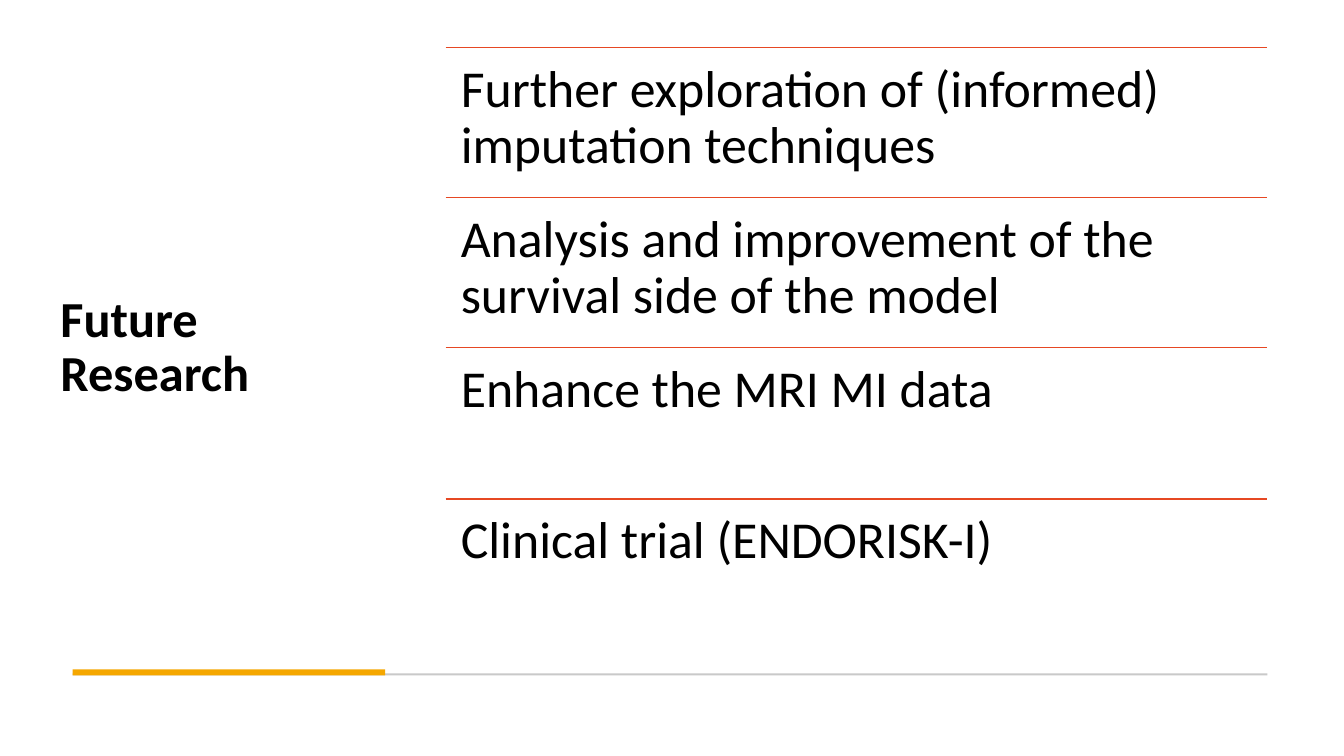
from dataclasses import dataclass

from pptx import Presentation
from pptx.dml.color import RGBColor
from pptx.enum.shapes import MSO_CONNECTOR, MSO_SHAPE
from pptx.enum.text import MSO_ANCHOR, MSO_AUTO_SIZE, PP_ALIGN
from pptx.oxml.ns import qn
from pptx.slide import Slide
from pptx.text.text import TextFrame
from pptx.util import Emu, Pt
from lxml.etree import SubElement

EMU_PER_PX = 9144
COLORS = {
    "background": "FFFFFF",
    "text": "000000",
    "divider": "E64823",
    "footer": "C9C9C9",
    "accent": "F5A700",
}


@dataclass(frozen=True)
class Box:
    left: int
    top: int
    width: int
    height: int

    def emu(self) -> tuple[Emu, Emu, Emu, Emu]:
        return px(self.left), px(self.top), px(self.width), px(self.height)


@dataclass(frozen=True)
class Bar:
    box: Box
    color: str


TITLE = Box(50, 47, 332, 597)
TOPICS = Box(442, 47, 815, 597)
FOOTER_BARS = [
    Bar(Box(72, 668, 1185, 2), "footer"),
    Bar(Box(72, 664, 310, 6), "accent"),
]
RESEARCH_TOPICS = [
    "Further exploration of (informed) imputation techniques",
    "Analysis and improvement of the survival side of the model",
    "Enhance the MRI MI data",
    "Clinical trial (ENDORISK-I)",
]


def px(length: int) -> Emu:
    return Emu(length * EMU_PER_PX)


def rgb(name: str) -> RGBColor:
    return RGBColor.from_string(COLORS[name])


def write_text(frame: TextFrame, text: str, *, size: int, bold: bool = False,
               anchor: MSO_ANCHOR = MSO_ANCHOR.TOP, inset: tuple[int, int] = (15, 15)) -> None:
    frame.word_wrap = True
    frame.auto_size = MSO_AUTO_SIZE.NONE
    frame.vertical_anchor = anchor
    frame.margin_left = frame.margin_right = px(inset[0])
    frame.margin_top = frame.margin_bottom = px(inset[1])
    frame.text = text
    paragraph = frame.paragraphs[0]
    paragraph.alignment = PP_ALIGN.LEFT
    paragraph.line_spacing = 0.9
    font = paragraph.runs[0].font
    font.name = "Calibri"
    font.size = Pt(size)
    font.bold = bold
    font.color.rgb = rgb("text")


def draw_bar(slide: Slide, bar: Bar) -> None:
    rectangle = slide.shapes.add_shape(MSO_SHAPE.RECTANGLE, *bar.box.emu())
    rectangle.shadow.inherit = False
    rectangle.fill.solid()
    rectangle.fill.fore_color.rgb = rgb(bar.color)
    rectangle.line.fill.background()


def draw_topic(slide: Slide, box: Box, text: str) -> None:
    left, top, width, height = box.emu()
    divider = slide.shapes.add_connector(MSO_CONNECTOR.STRAIGHT, left, top, left + width, top)
    divider.line.color.rgb = rgb("divider")
    divider.line.width = Pt(1)
    SubElement(divider._element.spPr, qn("a:effectLst"))
    topic = slide.shapes.add_textbox(left, top, width, height)
    write_text(topic.text_frame, text, size=37)


def main() -> None:
    presentation = Presentation()
    presentation.slide_width = px(1333)
    presentation.slide_height = px(750)
    slide = presentation.slides.add_slide(presentation.slide_layouts[5])
    slide.background.fill.solid()
    slide.background.fill.fore_color.rgb = rgb("background")

    title = slide.shapes.title
    title.left, title.top, title.width, title.height = TITLE.emu()
    write_text(title.text_frame, "Future Research", size=36, bold=True,
               anchor=MSO_ANCHOR.MIDDLE, inset=(10, 5))

    for bar in FOOTER_BARS:
        draw_bar(slide, bar)

    pitch = TOPICS.height / len(RESEARCH_TOPICS)
    for index, text in enumerate(RESEARCH_TOPICS):
        top = TOPICS.top + round(index * pitch)
        draw_topic(slide, Box(TOPICS.left, top, TOPICS.width, round(pitch)), text)

    presentation.save("out.pptx")


if __name__ == "__main__":
    main()
